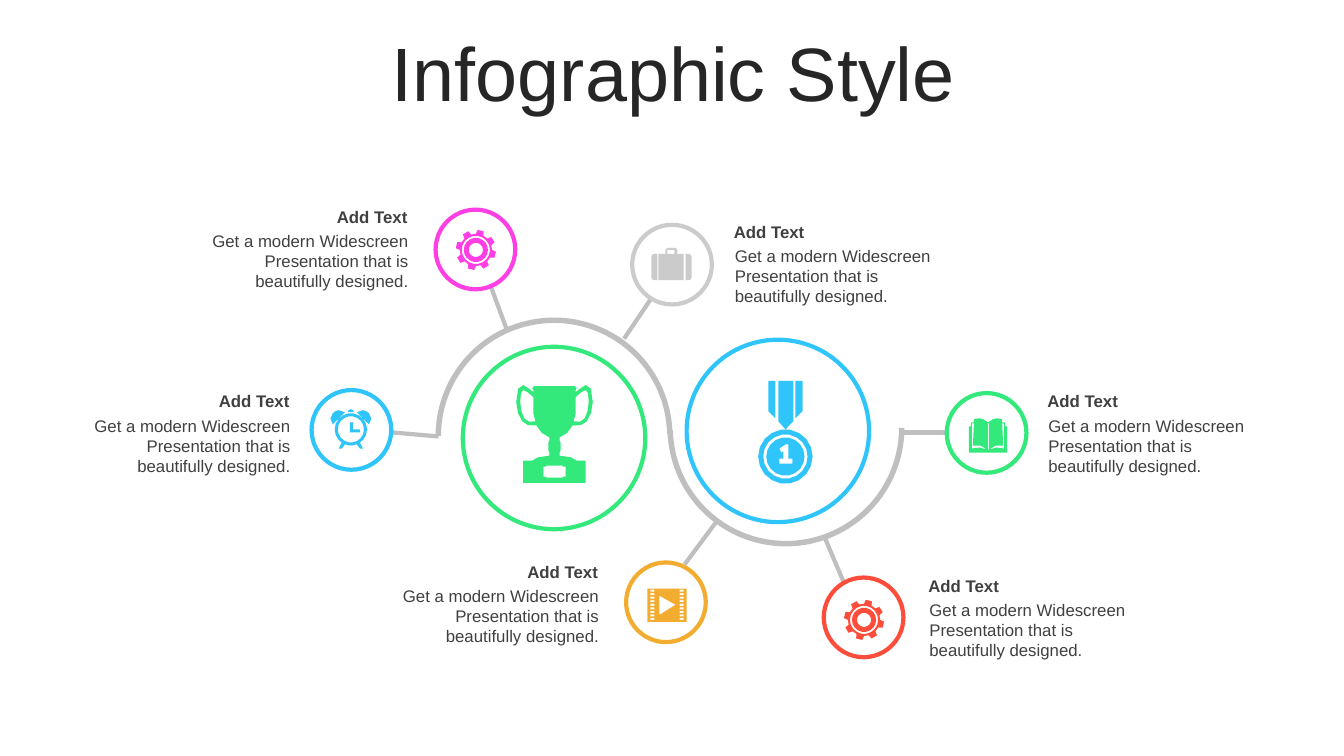
from math import cos, radians, sin

from pptx import Presentation
from pptx.dml.color import RGBColor
from pptx.enum.shapes import MSO_CONNECTOR, MSO_SHAPE as SHAPE
from pptx.enum.text import MSO_ANCHOR, MSO_AUTO_SIZE as FIT, PP_ALIGN as ALIGN
from pptx.oxml.ns import qn
from pptx.util import Inches, Pt

GREEN, BLUE, PINK = "33E97C", "2FC5FA", "FE3FE4"
SILVER, RED, AMBER = "CBCBCB", "FE4D3B", "F2AC30"
TRACK, INK, DARK, WHITE = "BFBFBF", "404040", "262626", "FFFFFF"
NODE = 0.79
CAPTION = "Get a modern Widescreen Presentation that is beautifully designed."

# Node left and top, colour, spoke start and end, caption left and top, alignment
NODES = [
    (3.09, 3.87, BLUE, (4.35, 4.33), (3.89, 4.29), (0.8, 3.83), ALIGN.RIGHT),
    (4.32, 2.08, PINK, (5.03, 3.28), (4.86, 2.82), (1.97, 2), ALIGN.RIGHT),
    (6.27, 2.23, SILVER, (6.19, 3.36), (6.46, 2.96), (7.18, 2.15), ALIGN.LEFT),
    (9.39, 3.9, GREEN, (8.95, 4.29), (9.39, 4.29), (10.29, 3.83), ALIGN.LEFT),
    (8.17, 5.73, RED, (8.17, 5.31), (8.37, 5.78), (9.11, 5.66), ALIGN.LEFT),
    (6.21, 5.58, AMBER, (7.11, 5.17), (6.79, 5.6), (3.86, 5.52), ALIGN.RIGHT),
]


def rgb(colour):
    return RGBColor.from_string(colour)


# Outline helpers: each returns a list of points in inches
def rect(x, y, w, h):
    return [(x, y), (x + w, y), (x + w, y + h), (x, y + h)]


def polar(cx, cy, r, angle):
    return cx + r * cos(radians(angle)), cy + r * sin(radians(angle))


def circle(cx, cy, r):
    return [polar(cx, cy, r, angle) for angle in range(0, 360, 20)]


def curve(*steps):
    """Pairs are corners; sixes are two control points and an end point."""
    points = []
    for step in steps:
        if len(step) == 2:
            points.append(step)
            continue
        bezier = [points[-1], step[:2], step[2:4], step[4:]]
        middle = tuple(sum(w * p[axis] for w, p in zip((1, 3, 3, 1), bezier)) / 8
                       for axis in (0, 1))
        points += [middle, bezier[-1]]
    return points


def mirror(points, axis):
    return [(2 * axis - x, y) for x, y in reversed(points)]


def both(points, axis):
    return [points, mirror(points, axis)]


# Icons: inner outlines cut holes in outer ones
def gear(cx, cy):
    teeth = [polar(cx, cy, r, 14 + 45 * tooth + turn) for tooth in range(8)
             for r, turn in ((0.16, -14), (0.2, -9), (0.2, 9), (0.16, 14))]
    return [teeth] + [circle(cx, cy, r) for r in (0.14, 0.12, 0.07)]


def clock():
    axis = 3.48
    bell = curve((3.6, 4.07), (3.62, 4.07, 3.64, 4.08, 3.66, 4.1),
                 (3.69, 4.13, 3.69, 4.18, 3.66, 4.21), (3.54, 4.09))
    foot = [(3.54, 4.41), (3.57, 4.39), (3.6, 4.45), (3.57, 4.45)]
    button = curve((3.45, 4.09), (3.45, 4.07, 3.46, 4.06, 3.48, 4.06),
                   (3.5, 4.06, 3.51, 4.07, 3.51, 4.09))
    hands = [(3.47, 4.19), (3.5, 4.19), (3.5, 4.26), (3.57, 4.26),
             (3.57, 4.29), (3.47, 4.29)]
    return [circle(axis, 4.26, 0.16), circle(axis, 4.26, 0.13), hands, button,
            *both(bell, axis), *both(foot, axis)]


def suitcase():
    side = curve((6.8, 2.52), (6.83, 2.52), (6.85, 2.52, 6.86, 2.53, 6.86, 2.55),
                 (6.86, 2.75), (6.86, 2.77, 6.85, 2.78, 6.83, 2.78), (6.8, 2.78))
    handle = [(6.6, 2.52), (6.6, 2.48), (6.62, 2.46), (6.7, 2.46), (6.72, 2.48),
              (6.72, 2.52)]
    body = [(6.78, 2.52), (6.78, 2.78), (6.53, 2.78), (6.53, 2.52)]
    return [*both(side, 6.66), handle + body, rect(6.62, 2.48, 0.07, 0.04)]


def book():
    axis = 9.8
    cover = curve((9.8, 4.19), (9.84, 4.16, 9.86, 4.15, 9.89, 4.15), (9.94, 4.16),
                  (9.94, 4.19), (9.97, 4.19), (9.97, 4.23), (9.99, 4.23), (9.99, 4.49))
    page_edge = curve((9.94, 4.2), (9.96, 4.2), (9.96, 4.45),
                      (9.9, 4.43, 9.87, 4.44, 9.81, 4.46),
                      (9.85, 4.42, 9.9, 4.41, 9.95, 4.42))
    return [cover + mirror(cover, axis), *both(page_edge, axis),
            rect(9.8, 4.2, 0.01, 0.26)]


def film():
    holes = [rect(x, 5.85 + 0.28 * row / 8, 0.04, 0.02)
             for x in (6.45, 6.74) for row in range(9)]
    return [rect(6.42, 5.84, 0.39, 0.33), [(6.54, 5.91), (6.7, 6), (6.54, 6.1)], *holes]


def medal():
    digit = [(7.79, 4.41), (7.82, 4.41), (7.82, 4.55), (7.86, 4.55), (7.86, 4.6),
             (7.73, 4.6), (7.73, 4.55), (7.77, 4.55), (7.77, 4.48), (7.75, 4.49),
             (7.73, 4.45)]
    ribbon = [(7.72, 3.78), (7.87, 3.78), (7.87, 4.18), (7.79, 4.26), (7.72, 4.18)]
    stripe = [(7.89, 3.78), (7.96, 3.78), (7.96, 4.08), (7.89, 4.15)]
    discs = [circle(7.79, 4.53, r) for r in (0.27, 0.22, 0.19)]
    return [*discs, digit, ribbon, *both(stripe, 7.79)]


def trophy():
    axis = 5.5
    outline = curve((5.7, 3.83), (5.72, 3.85), (5.71, 3.87), (5.71, 3.89),
                    (5.74, 3.87, 5.78, 3.83, 5.81, 3.82),
                    (5.85, 3.82, 5.88, 3.86, 5.88, 3.99),
                    (5.88, 4.07, 5.85, 4.14, 5.82, 4.18),
                    (5.79, 4.21, 5.74, 4.24, 5.68, 4.22),
                    (5.65, 4.28, 5.61, 4.32, 5.55, 4.34), (5.55, 4.37),
                    (5.56, 4.39), (5.56, 4.47), (5.55, 4.49), (5.55, 4.52),
                    (5.64, 4.52, 5.71, 4.55, 5.72, 4.57), (5.81, 4.57), (5.81, 4.79))
    handle_gap = curve((5.81, 3.87), (5.79, 3.87, 5.75, 3.9, 5.71, 3.94), (5.71, 4.1),
                       (5.69, 4.18), (5.74, 4.2, 5.77, 4.18, 5.8, 4.15),
                       (5.82, 4.12, 5.84, 4.05, 5.84, 3.99),
                       (5.84, 3.91, 5.83, 3.87, 5.81, 3.87))
    plate = [(5.58, 4.62), (5.58, 4.63), (5.61, 4.63), (5.61, 4.73), (5.58, 4.73),
             (5.58, 4.74)]
    return [outline + mirror(outline, axis), *both(handle_gap, axis),
            plate + mirror(plate, axis)]


# Slide elements
def paint(shape, fill, line=None):
    shape.shadow.inherit = False
    shape.fill.solid()
    shape.fill.fore_color.rgb = rgb(fill)
    if line:
        shape.line.color.rgb = rgb(line)
        shape.line.width = Pt(3)
    else:
        shape.line.fill.background()


def add_icon(slide, outlines, colour):
    first, *others = [[(Inches(x), Inches(y)) for x, y in outline] for outline in outlines]
    builder = slide.shapes.build_freeform(*first[0])
    builder.add_line_segments(first[1:])
    for outline in others:
        builder.move_to(*outline[0])
        builder.add_line_segments(outline[1:])
    paint(builder.convert_to_shape(), colour)


def add_ring(slide, left, top, size, colour):
    ring = slide.shapes.add_shape(SHAPE.OVAL, *map(Inches, (left, top, size, size)))
    paint(ring, WHITE, colour)


def add_track(slide, left, top, rotation):
    track = slide.shapes.add_shape(SHAPE.BLOCK_ARC, *map(Inches, (left, top, 2.35, 2.35)))
    for index, value in enumerate((108, 215.35, 0.023)):
        track.adjustments[index] = value
    track.rotation = rotation
    paint(track, TRACK)


def add_spoke(slide, start, end):
    spoke = slide.shapes.add_connector(MSO_CONNECTOR.STRAIGHT, *map(Inches, start + end))
    spoke.line.color.rgb = rgb(TRACK)
    spoke.line.width = Pt(3)
    properties = spoke._element.spPr
    properties.append(properties.makeelement(qn("a:effectLst"), {}))


def write(paragraph, text, size, colour, align, bold=False):
    paragraph.alignment = align
    run = paragraph.add_run()
    run.text = text
    run.font.name, run.font.size, run.font.bold = "Arial", Pt(size), bold
    run.font.color.rgb = rgb(colour)


def add_caption(slide, left, top, align):
    for x, y, height, text, bold in ((left, top, 0.3, "Add Text", True),
                                     (left + 0.01, top + 0.24, 0.71, CAPTION, False)):
        frame = slide.shapes.add_textbox(*map(Inches, (x, y, 2.17, height))).text_frame
        frame.word_wrap, frame.auto_size = True, FIT.SHAPE_TO_FIT_TEXT
        write(frame.paragraphs[0], text, 12, INK, align, bold)


def add_title(slide, text):
    title = slide.shapes.title
    title.left, title.top, title.width, title.height = map(Inches, (0.35, 0.37, 12.66, 0.79))
    frame = title.text_frame
    frame.auto_size, frame.vertical_anchor = FIT.NONE, MSO_ANCHOR.MIDDLE
    frame.paragraphs[0].line_spacing = 0.9
    write(frame.paragraphs[0], text, 54, DARK, ALIGN.CENTER)


def main():
    deck = Presentation()
    deck.slide_width, deck.slide_height = Inches(13.33), Inches(7.5)
    slide = deck.slides.add_slide(deck.slide_layouts[5])
    add_title(slide, "Infographic Style")

    # Two hubs and the S-shaped track around them
    add_ring(slide, 4.59, 3.44, 1.81, GREEN)
    add_ring(slide, 6.81, 3.37, 1.81, BLUE)
    add_track(slide, 6.62, 3.07, 180)
    add_track(slide, 4.32, 3.15, 0)
    add_icon(slide, trophy(), GREEN)
    add_icon(slide, medal(), BLUE)

    # Six nodes with captions
    icons = [clock(), gear(4.72, 2.48), suitcase(), book(), gear(8.57, 6.15), film()]
    for (left, top, colour, start, end, caption, align), icon in zip(NODES, icons):
        add_spoke(slide, start, end)
        add_ring(slide, left, top, NODE, colour)
        add_icon(slide, icon, colour)
        add_caption(slide, *caption, align)

    deck.save("out.pptx")


if __name__ == "__main__":
    main()
